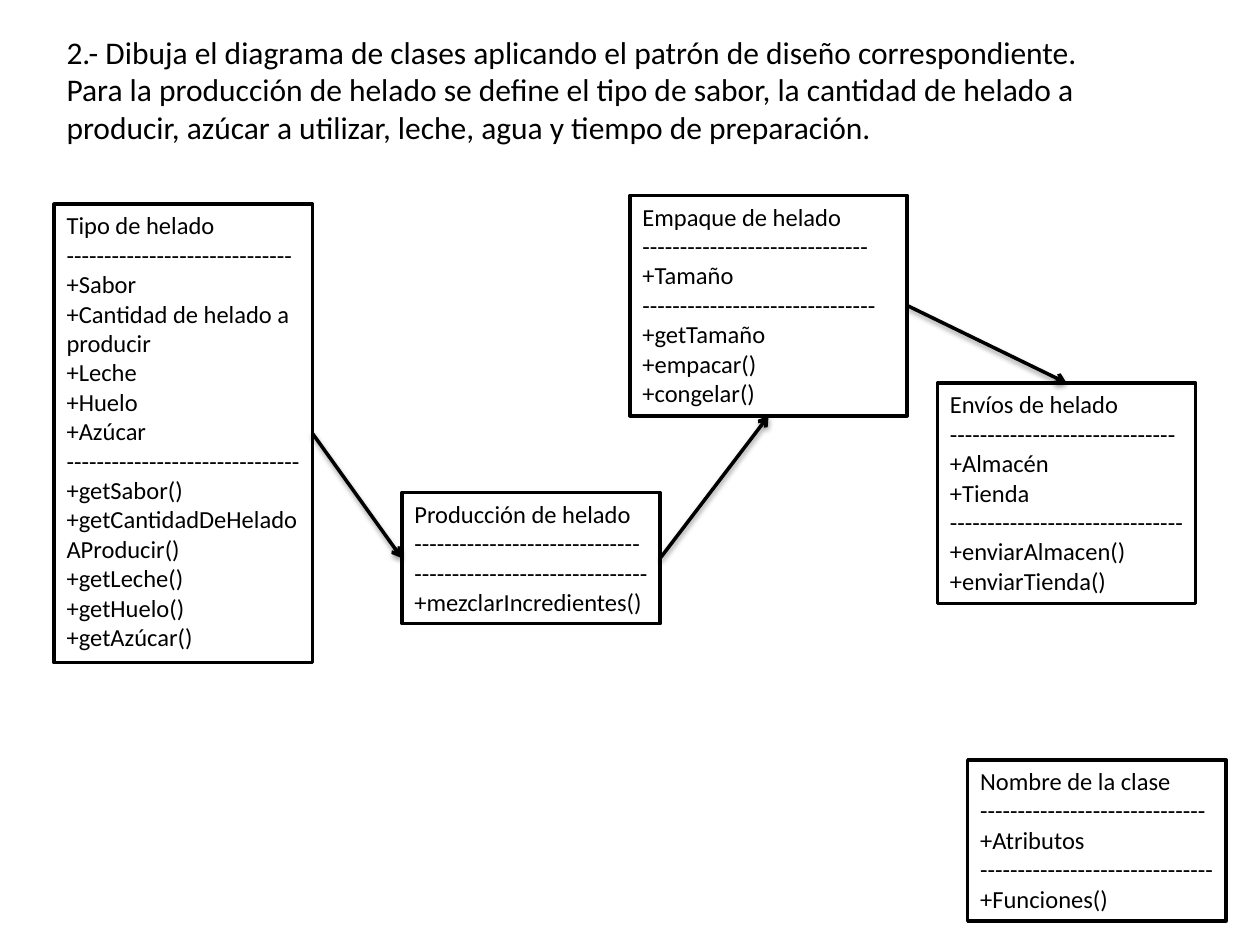
from dataclasses import dataclass

from lxml.etree import SubElement
from pptx import Presentation
from pptx.dml.color import RGBColor
from pptx.enum.shapes import MSO_CONNECTOR, MSO_SHAPE
from pptx.enum.text import MSO_ANCHOR, MSO_AUTO_SIZE, PP_ALIGN
from pptx.oxml import parse_xml
from pptx.oxml.ns import nsdecls, qn
from pptx.shapes.autoshape import Shape
from pptx.slide import Slide
from pptx.util import Inches, Pt


@dataclass(frozen=True)
class Theme:
    font: str = "Calibri"
    ink: RGBColor = RGBColor(0, 0, 0)
    paper: RGBColor = RGBColor(255, 255, 255)
    statement_size: int = 18
    class_size: int = 14
    stroke: int = 2


@dataclass(frozen=True)
class ClassBox:
    name: str
    left: float
    top: float
    height: float
    attributes: tuple[str, ...] = ()
    methods: tuple[str, ...] = ()
    width: float = 2.05

    def lines(self) -> list[str]:
        return [self.name, "-" * 30, *self.attributes, "-" * 31, *self.methods]


@dataclass(frozen=True)
class Association:
    source: str
    target: str
    target_site: int


THEME = Theme()
TOP, LEFT, BOTTOM, RIGHT = range(4)
PRODUCTION, PACKAGING = "Producción de helado", "Empaque de helado"
SHIPPING, FLAVOUR = "Envíos de helado", "Tipo de helado"

STATEMENT = [
    "2.- Dibuja el diagrama de clases aplicando el patrón de diseño correspondiente.",
    "Para la producción de helado se define el tipo de sabor, la cantidad de helado a "
    "producir, azúcar a utilizar, leche, agua y tiempo de preparación.",
]
CLASSES = [
    ClassBox(PRODUCTION, 3.19, 3.91, 1.04, methods=("+mezclarIncredientes()",)),
    ClassBox(PACKAGING, 5, 1.55, 1.75, ("+Tamaño",),
             ("+getTamaño", "+empacar()", "+congelar()"), width=2.2),
    ClassBox(SHIPPING, 7.44, 3.04, 1.75, ("+Almacén", "+Tienda"),
             ("+enviarAlmacen()", "+enviarTienda()")),
    ClassBox(FLAVOUR, 0.43, 1.62, 3.64,
             ("+Sabor", "+Cantidad de helado a producir", "+Leche", "+Huelo", "+Azúcar"),
             ("+getSabor()", "+getCantidadDeHeladoAProducir()", "+getLeche()",
              "+getHuelo()", "+getAzúcar()")),
    ClassBox("Nombre de la clase", 7.68, 6.03, 1.28, ("+Atributos",), ("+Funciones()",)),
]
ASSOCIATIONS = [
    Association(FLAVOUR, PRODUCTION, LEFT),
    Association(PRODUCTION, PACKAGING, BOTTOM),
    Association(PACKAGING, SHIPPING, TOP),
]


def write(shape: Shape, lines: list[str], size: int) -> None:
    frame = shape.text_frame
    frame.word_wrap = True
    frame.auto_size = MSO_AUTO_SIZE.SHAPE_TO_FIT_TEXT
    frame.vertical_anchor = MSO_ANCHOR.TOP
    for index, line in enumerate(lines):
        paragraph = frame.add_paragraph() if index else frame.paragraphs[0]
        paragraph.alignment = PP_ALIGN.LEFT
        run = paragraph.add_run()
        run.text = line
        run.font.name = THEME.font
        run.font.size = Pt(size)
        run.font.color.rgb = THEME.ink


def draw_class(slide: Slide, box: ClassBox) -> Shape:
    shape = slide.shapes.add_shape(
        MSO_SHAPE.RECTANGLE, Inches(box.left), Inches(box.top),
        Inches(box.width), Inches(box.height))
    shape.shadow.inherit = False
    shape.fill.solid()
    shape.fill.fore_color.rgb = THEME.paper
    shape.line.color.rgb = THEME.ink
    shape.line.width = Pt(THEME.stroke)
    write(shape, box.lines(), THEME.class_size)
    return shape


def draw_association(slide: Slide, link: Association, boxes: dict[str, Shape]) -> None:
    arrow = slide.shapes.add_connector(MSO_CONNECTOR.STRAIGHT, 0, 0, 0, 0)
    arrow.begin_connect(boxes[link.source], RIGHT)
    arrow.end_connect(boxes[link.target], link.target_site)
    arrow.line.color.rgb = THEME.ink
    arrow.line.width = Pt(THEME.stroke)
    SubElement(arrow.line._get_or_add_ln(), qn("a:tailEnd"), type="arrow")
    arrow._element.spPr.append(parse_xml(
        f'<a:effectLst {nsdecls("a")}>'
        f'<a:outerShdw blurRad="{Pt(3.1)}" dist="{Pt(1.6)}" dir="5400000" rotWithShape="0">'
        f'<a:srgbClr val="{THEME.ink}"><a:alpha val="38000"/></a:srgbClr>'
        '</a:outerShdw></a:effectLst>'))


def main() -> None:
    deck = Presentation()
    deck.slide_width, deck.slide_height = Inches(10), Inches(7.5)
    slide = deck.slides.add_slide(deck.slide_layouts[6])
    statement = slide.shapes.add_textbox(
        Inches(0.43), Inches(0.21), Inches(8.43), Inches(1.01))
    write(statement, STATEMENT, THEME.statement_size)
    boxes = {box.name: draw_class(slide, box) for box in CLASSES}
    for link in ASSOCIATIONS:
        draw_association(slide, link, boxes)
    deck.save("out.pptx")


main()
